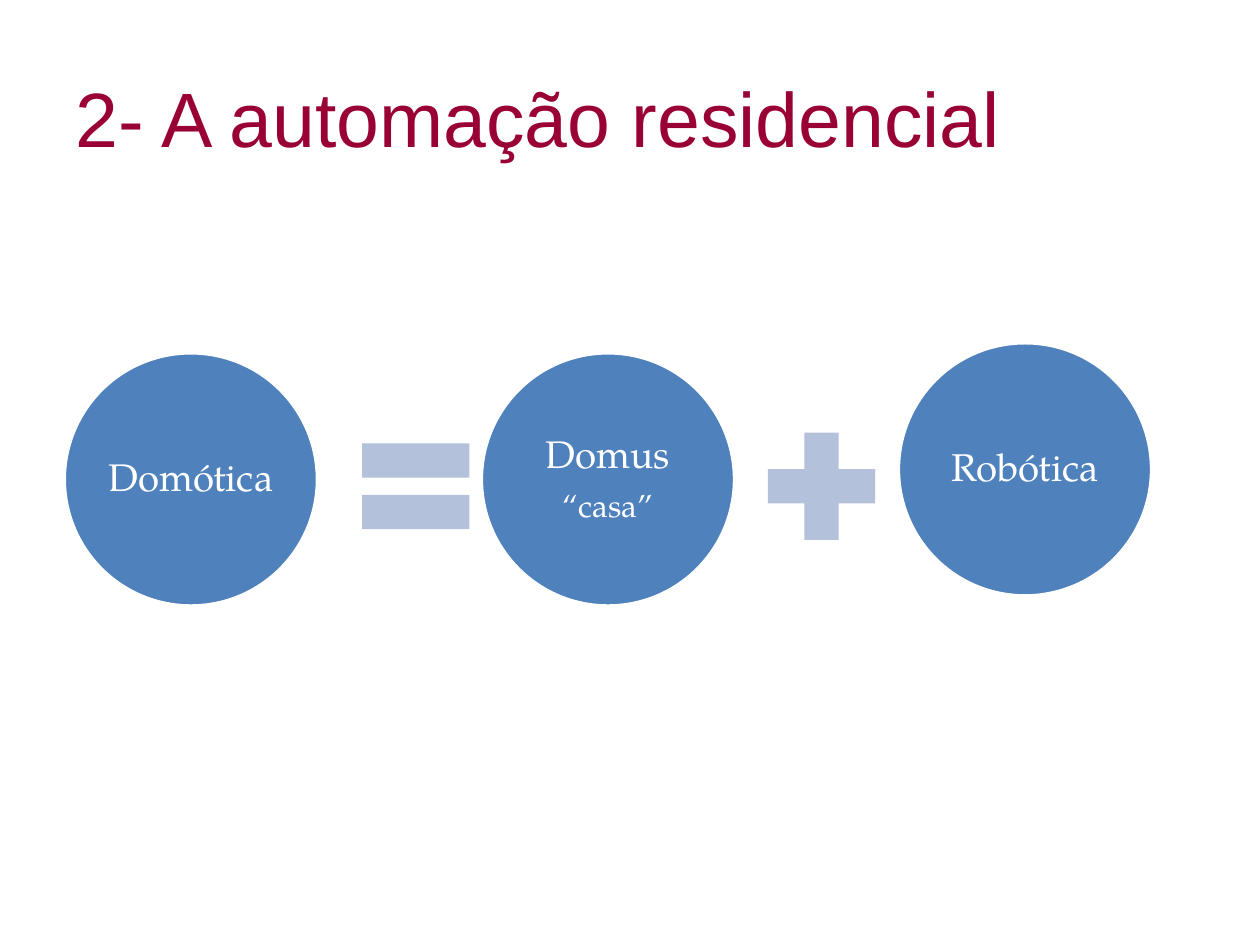
from pptx import Presentation
from pptx.dml.color import RGBColor
from pptx.enum.shapes import MSO_SHAPE
from pptx.enum.text import MSO_ANCHOR, PP_ALIGN
from pptx.util import Inches, Pt

COLORS = {"title": "990033", "circle": "4F81BD", "operator": "B3C1DB", "white": "FFFFFF"}


class EquationSlide:
    title_font = "Arial"
    body_font = "TeX Gyre Pagella"
    circle_size = 2.01
    operator_size = 1.16

    def __init__(self, presentation):
        self.slide = presentation.slides.add_slide(presentation.slide_layouts[5])

    def color(self, name):
        return RGBColor.from_string(COLORS[name])

    def format_paragraph(self, paragraph, font_name, size, color, alignment):
        paragraph.alignment = alignment
        paragraph.font.name = font_name
        paragraph.font.size = Pt(size)
        paragraph.font.color.rgb = self.color(color)

    def title(self, text, left, top, width, height):
        title = self.slide.shapes.title
        title.left, title.top = Inches(left), Inches(top)
        title.width, title.height = Inches(width), Inches(height)
        frame = title.text_frame
        frame.text = text
        frame.vertical_anchor = MSO_ANCHOR.MIDDLE
        self.format_paragraph(frame.paragraphs[0], self.title_font, 44, "title", PP_ALIGN.LEFT)

    def shape(self, kind, left, top, size, fill):
        shape = self.slide.shapes.add_shape(
            kind, Inches(left), Inches(top), Inches(size), Inches(size))
        shape.shadow.inherit = False
        shape.fill.solid()
        shape.fill.fore_color.rgb = self.color(fill)
        shape.line.fill.background()
        return shape

    def operator(self, kind, left, top):
        self.shape(kind, left, top, self.operator_size, "operator")

    def circle(self, left, top, lines):
        circle = self.shape(MSO_SHAPE.OVAL, left, top, self.circle_size, "circle")
        circle.line.color.rgb = self.color("white")
        circle.line.width = Pt(2)
        frame = circle.text_frame
        frame.word_wrap = True
        frame.vertical_anchor = MSO_ANCHOR.MIDDLE
        frame.margin_left = frame.margin_right = Inches(0.03)
        frame.margin_top = frame.margin_bottom = Inches(0.03)
        frame.text = "\n".join(text for text, size in lines)
        for paragraph, (text, size) in zip(frame.paragraphs, lines):
            self.format_paragraph(paragraph, self.body_font, size, "white", PP_ALIGN.CENTER)
            paragraph.line_spacing = 0.9
            paragraph.space_after = Pt(round(size * 0.35, 1))


def main():
    presentation = Presentation()
    presentation.slide_width, presentation.slide_height = Inches(10), Inches(7.5)
    equation = EquationSlide(presentation)
    equation.title("2- A automação residencial", 0.5, 0.3, 9, 1.25)

    terms = [
        (2.8, [("Domótica", 22)]),
        (2.8, [("Domus", 22), ("“casa”", 18)]),
        (2.72, [("Robótica", 22)]),
    ]
    for index, (top, lines) in enumerate(terms):
        equation.circle(0.51 + index * 3.31, top, lines)

    equation.operator(MSO_SHAPE.MATH_EQUAL, 2.72, 3.28)
    equation.operator(MSO_SHAPE.MATH_PLUS, 5.94, 3.28)
    presentation.save("out.pptx")


if __name__ == "__main__":
    main()
